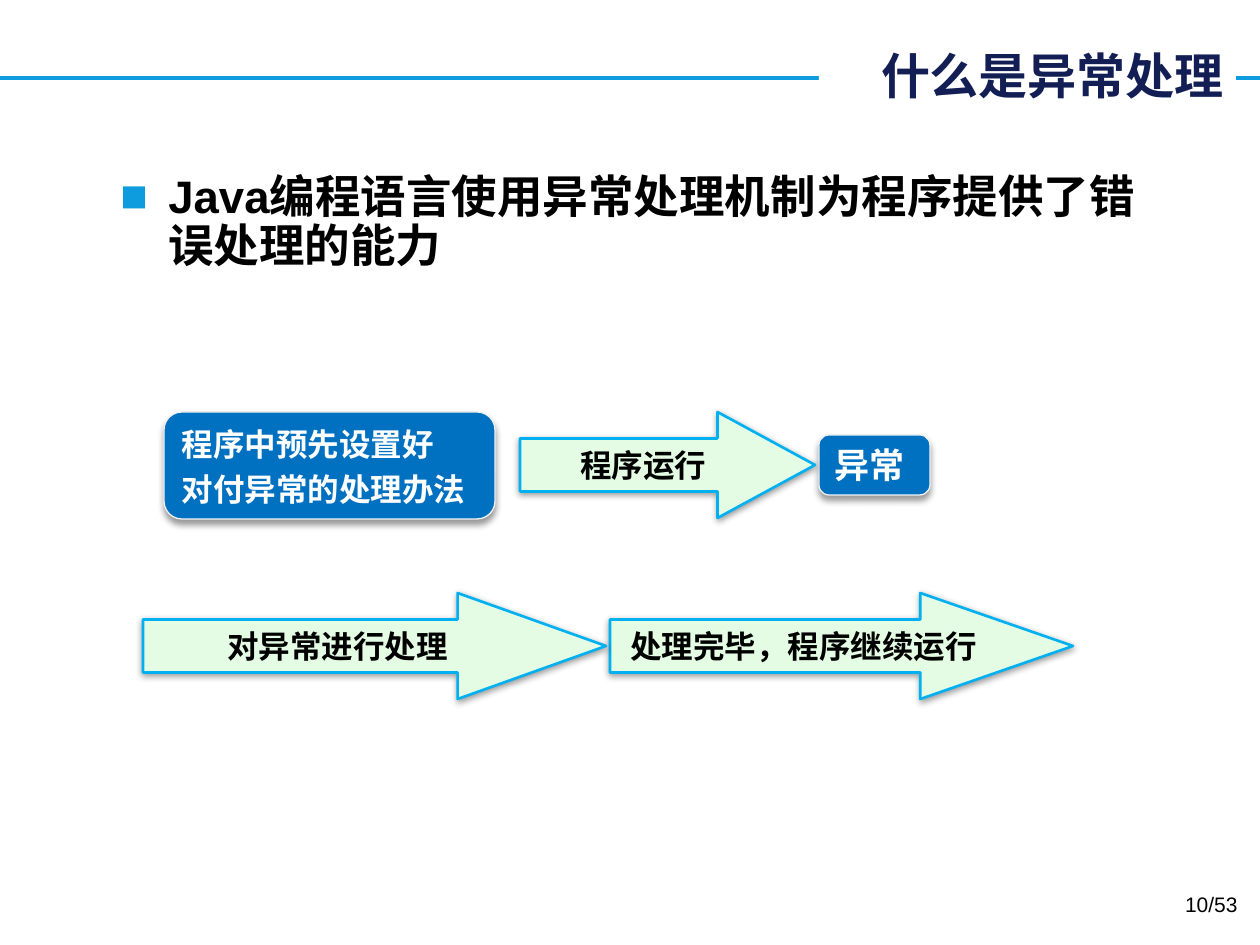
"""Build the slide that explains exception handling."""
from lxml import etree
from pptx import Presentation
from pptx import util as u
from pptx.dml.color import RGBColor
from pptx.enum import shapes, text
from pptx.oxml import parse_xml
from pptx.oxml.ns import nsdecls, qn

PX = 914400 / 126
COLORS = {"rule": "0E9CDE", "title": "121E54", "white": "FFFFFF", "black": "000000",
          "box": "0070C0", "box_line": "F2F2F2", "arrow": "E4FCE4", "arrow_line": "00B0F0"}
CJK = "Noto Sans CJK SC"
ALIGN, ANCHOR, KIND = text.PP_ALIGN, text.MSO_ANCHOR, shapes.MSO_SHAPE


def px(*lengths):
    return [u.Emu(round(n * PX)) for n in lengths]


def write(sp, lines, size, color, align=ALIGN.LEFT, anchor=ANCHOR.TOP, bold=True, font="Arial"):
    tf = sp.text_frame
    frame = {"word_wrap": True, "auto_size": text.MSO_AUTO_SIZE.NONE, "vertical_anchor": anchor}
    for key, value in frame.items():
        setattr(tf, key, value)
    for i, line in enumerate(lines):
        p = tf.paragraphs[0] if i == 0 else tf.add_paragraph()
        p.alignment = align
        if i:
            p.space_before = u.Pt(round(size * 0.2))
        r = p.add_run()
        r.text = line
        for key, value in {"name": font, "size": u.Pt(size), "bold": bold}.items():
            setattr(r.font, key, value)
        r.font.color.rgb = RGBColor.from_string(COLORS[color])
        etree.SubElement(r.font._element, qn("a:ea")).set("typeface", CJK)
    return tf


prs = Presentation()
prs.slide_width, prs.slide_height = px(1260, 945)
s = prs.slides.add_slide(prs.slide_layouts[6])

rule = s.shapes.add_connector(shapes.MSO_CONNECTOR.STRAIGHT, *px(0, 78, 1260, 78))
rule.line.color.rgb = RGBColor.from_string(COLORS["rule"])
rule.line.width = u.Pt(2.25)
etree.SubElement(rule._element.spPr, qn("a:effectLst"))

title = s.shapes.add_textbox(*px(819, 39, 417, 72))
title.fill.solid()
title.fill.fore_color.rgb = RGBColor.from_string(COLORS["white"])
write(title, ["什么是异常处理"], 28, "title", ALIGN.RIGHT, ANCHOR.MIDDLE, font=CJK)

body = s.shapes.add_textbox(*px(108, 168, 1053, 709))
p = write(body, ["Java编程语言使用异常处理机制为程序提供了错误处理的能力"], 26, "black").paragraphs[0]
p.line_spacing = 0.9
pPr = p._p.get_or_add_pPr()
indent = px(48)[0]
pPr.set("marL", str(indent))
pPr.set("indent", str(-indent))
for xml in (f'<a:buClr {nsdecls("a")}><a:srgbClr val="{COLORS["rule"]}"/></a:buClr>',
            f'<a:buFont {nsdecls("a")} typeface="Arial"/>',
            f'<a:buChar {nsdecls("a")} char="■"/>'):
    pPr.append(parse_xml(xml))

box = {"kind": KIND.ROUNDED_RECTANGLE, "fill": "box", "line": "box_line", "width": 0.75,
       "drop": 3, "color": "white", "align": ALIGN.LEFT, "anchor": ANCHOR.BOTTOM}
arrow = {"kind": KIND.RIGHT_ARROW, "fill": "arrow", "line": "arrow_line", "width": 1.5,
         "drop": 1, "color": "black", "align": ALIGN.CENTER, "anchor": ANCHOR.MIDDLE}
steps = [
    (box, (164, 412, 331, 107), [0.167], 18, ["程序中预先设置好", "对付异常的处理办法"]),
    (box, (819, 435, 111, 60), [0.167], 20, ["异常"]),
    (arrow, (520, 412, 295, 106), [0.5, 0.92], 18, ["程序运行"]),
    (arrow, (610, 593, 463, 106), [0.5, 1.44], 18, ["处理完毕，程序继续运行"]),
    (arrow, (143, 593, 463, 106), [0.5, 1.4], 18, ["对异常进行处理"]),
]
for style, place, adjustments, size, lines in steps:
    sp = s.shapes.add_shape(style["kind"], *px(*place))
    for i, value in enumerate(adjustments):
        sp.adjustments[i] = value
    sp.fill.solid()
    sp.fill.fore_color.rgb = RGBColor.from_string(COLORS[style["fill"]])
    sp.line.color.rgb = RGBColor.from_string(COLORS[style["line"]])
    sp.line.width = u.Pt(style["width"])
    sp.shadow.inherit = False
    sp._element.spPr.find(qn("a:effectLst")).append(parse_xml(
        f'<a:outerShdw {nsdecls("a")} blurRad="{u.Pt(4)}" dist="{u.Pt(style["drop"])}" '
        f'dir="5400000" rotWithShape="0"><a:srgbClr val="{COLORS["black"]}">'
        '<a:alpha val="40000"/></a:srgbClr></a:outerShdw>'))
    write(sp, lines, size, style["color"], style["align"], style["anchor"])

number = s.shapes.add_textbox(*px(956, 885, 294, 50))
write(number, ["10/53"], 12, "black", ALIGN.RIGHT, bold=False)

prs.save("out.pptx")
